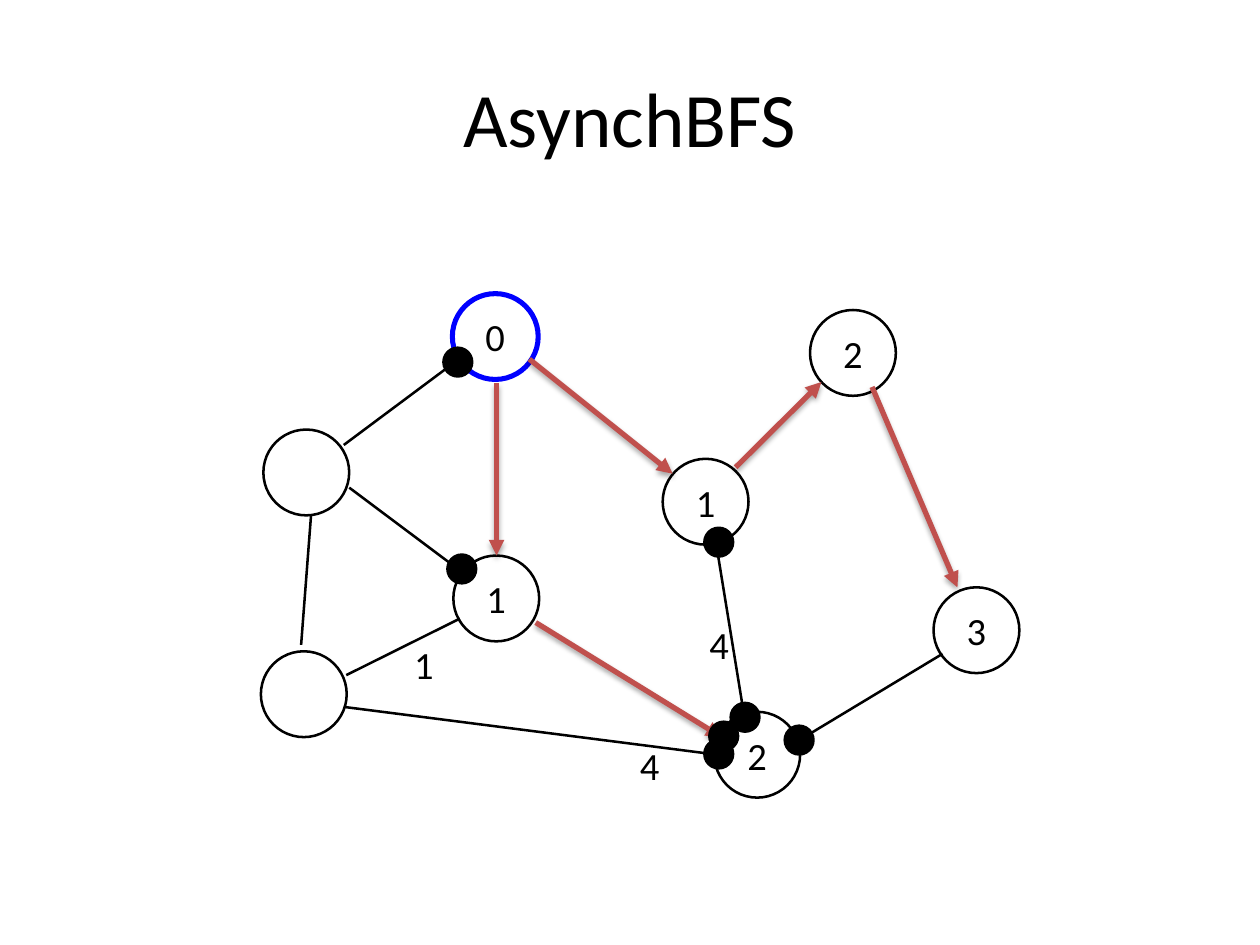
from dataclasses import dataclass
from lxml.etree import SubElement
from pptx import Presentation
from pptx.dml.color import RGBColor as Color
from pptx.enum.shapes import MSO_CONNECTOR as Connector, MSO_SHAPE as Preset
from pptx.enum.text import MSO_ANCHOR as Anchor, PP_ALIGN as Align
from pptx.oxml.ns import qn
from pptx.util import Cm, Pt


@dataclass(frozen=True)
class Theme:
    font: str = "Calibri"
    ink: str = "000000"
    root: str = "0000FF"
    tree: str = "C0504D"
    title_size: float = 44
    label_size: float = 22
    thin: float = 1.45
    root_line: float = 2.89
    tree_line: float = 3


theme = Theme()
NODE, DOT = 1.73, 0.58

title = "AsynchBFS"
root = ("0", 9.12, 5.92)
nodes = [
    ("", 5.31, 8.66),
    root,
    ("1", 9.14, 11.2),
    ("1", 13.36, 9.25),
    ("2", 16.33, 6.25),
    ("2", 14.4, 14.35),
    ("", 5.26, 13.13),
    ("3", 18.82, 11.84),
]
plain_edges = [
    (9.25, 7.24, 6.93, 8.97),
    (7.04, 9.83, 9.35, 11.56),
    (6.27, 10.39, 6.07, 13.0),
    (6.98, 13.61, 9.27, 12.47),
    (16.13, 14.91, 19.0, 13.18),
    (14.43, 10.92, 15.01, 14.48),
    (6.93, 14.25, 14.43, 15.21),
]
tree_edges = [
    (10.01, 7.72, 10.01, 11.2),
    (10.67, 7.24, 13.56, 9.55),
    (14.83, 9.42, 16.56, 7.7),
    (17.58, 7.8, 19.3, 11.84),
    (10.8, 12.55, 14.55, 14.86),
]
dots = [
    (8.94, 7.01), (9.02, 11.18), (14.2, 10.64), (14.3, 14.55),
    (14.73, 14.17), (15.82, 14.63), (14.2, 14.91),
]
edge_labels = [("1", 8.1, 12.8), ("4", 14.05, 12.4), ("4", 12.65, 14.83)]

deck = Presentation()
deck.slide_width, deck.slide_height = Cm(25.4), Cm(19.05)
page = deck.slides.add_slide(deck.slide_layouts[6])


def write(shape, text, size, align=Align.CENTER, anchor=Anchor.MIDDLE):
    frame = shape.text_frame
    frame.text = text
    frame.vertical_anchor = anchor
    para = frame.paragraphs[0]
    para.alignment = align
    for span in para.runs:
        span.font.name = theme.font
        span.font.size = Pt(size)
        span.font.color.rgb = Color.from_string(theme.ink)


def add_circle(left, top, size, color, width):
    circle = page.shapes.add_shape(Preset.OVAL, Cm(left), Cm(top), Cm(size), Cm(size))
    circle.shadow.inherit = False
    circle.fill.background()
    circle.line.color.rgb = Color.from_string(color)
    circle.line.width = Pt(width)
    return circle


def add_edge(ends, color, width):
    edge = page.shapes.add_connector(Connector.STRAIGHT, *map(Cm, ends))
    edge.line.color.rgb = Color.from_string(color)
    edge.line.width = Pt(width)
    effects = SubElement(edge._element.spPr, qn("a:effectLst"))
    return edge, effects


def add_tree_edge(ends):
    edge, effects = add_edge(ends, theme.tree, theme.tree_line)
    SubElement(edge.line._get_or_add_ln(), qn("a:tailEnd"), type="triangle")
    shadow = SubElement(effects, qn("a:outerShdw"), blurRad=str(Pt(3.1)),
                        dist=str(Pt(1.8)), dir="5400000", rotWithShape="0")
    shade = SubElement(shadow, qn("a:srgbClr"), val=theme.ink)
    SubElement(shade, qn("a:alpha"), val="35000")


def add_text(text, left, top, width, height, size, **layout):
    box = page.shapes.add_textbox(Cm(left), Cm(top), Cm(width), Cm(height))
    write(box, text, size, **layout)
    return box


heading = add_text(title, 1.27, 0.76, 22.86, 3.18, theme.title_size).text_frame
heading.word_wrap = True
heading.margin_left = heading.margin_right = heading.margin_top = heading.margin_bottom = 0

for node in nodes:
    text, left, top = node
    outline = (theme.root, theme.root_line) if node is root else (theme.ink, theme.thin)
    circle = add_circle(left, top, NODE, *outline)
    if text:
        write(circle, text, theme.label_size)

for ends in plain_edges:
    add_edge(ends, theme.ink, theme.thin)
for ends in tree_edges:
    add_tree_edge(ends)

for left, top in dots:
    dot = add_circle(left, top, DOT, theme.ink, theme.thin)
    dot.fill.solid()
    dot.fill.fore_color.rgb = Color.from_string(theme.ink)

for text, left, top in edge_labels:
    label = add_text(text, left, top, 0.94, 1.22, theme.label_size,
                     align=Align.LEFT, anchor=Anchor.TOP)
    label.text_frame.word_wrap = False

deck.save("out.pptx")
